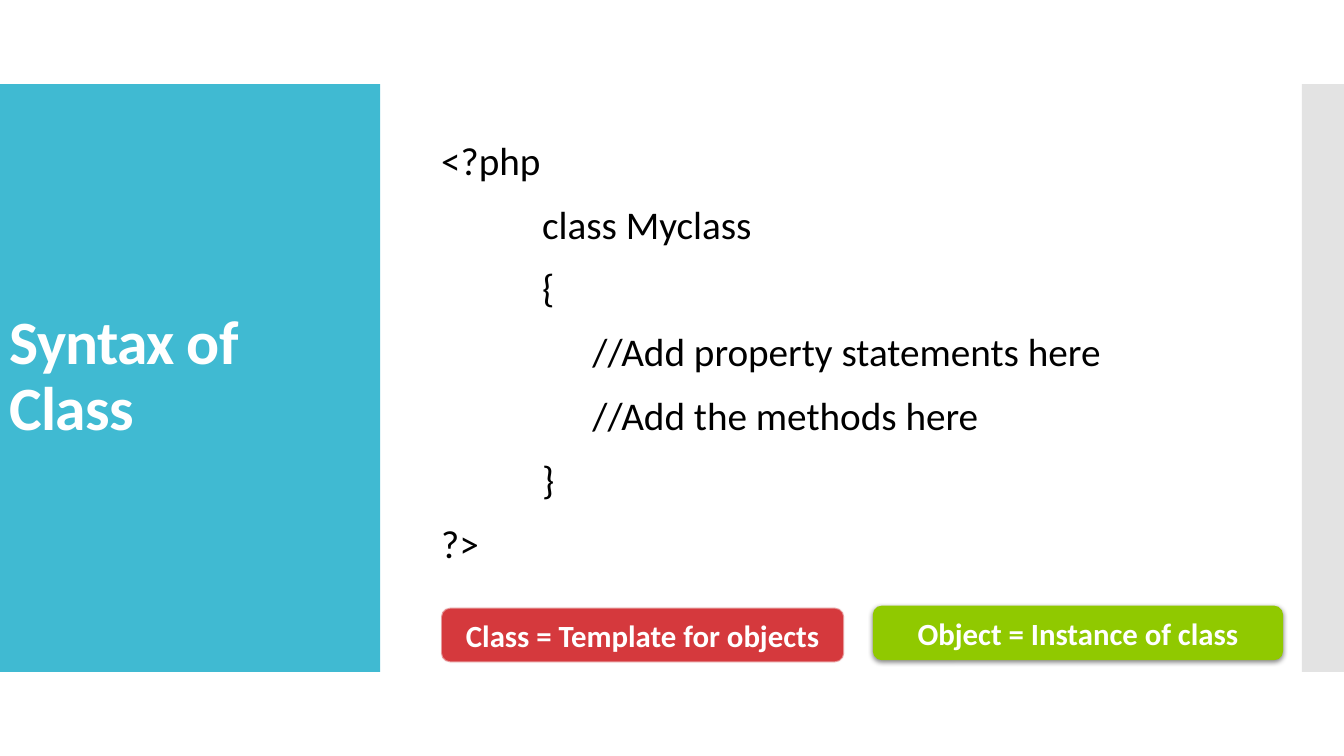
"""Build the slide that shows the syntax of a PHP class."""
import dataclasses

import pptx
import pptx.dml.color
import pptx.enum.shapes
import pptx.enum.text
import pptx.oxml
import pptx.oxml.ns
import pptx.util

ALIGN = pptx.enum.text.PP_ALIGN
ANCHOR = pptx.enum.text.MSO_ANCHOR
SHAPE = pptx.enum.shapes.MSO_SHAPE


@dataclasses.dataclass(frozen=True)
class Theme:
    font: str = "Calibri"
    panel: str = "40BAD2"
    strip: str = "C8C8C8"
    class_red: str = "D5393D"
    object_green: str = "90C900"
    outline: str = "F9F9F9"
    shadow: str = "000000"
    code: str = "000000"
    light: str = "FFFFFF"
    title_size: float = 44
    code_size: float = 28
    badge_size: float = 22


class SlideBuilder:
    COLUMNS, ROWS = 32, 18

    def __init__(self, deck, theme):
        self.theme = theme
        self.slide = deck.slides.add_slide(deck.slide_layouts[6])
        self.column = deck.slide_width / self.COLUMNS
        self.row = deck.slide_height / self.ROWS

    def place(self, left, top, width, height):
        return (round(left * self.column), round(top * self.row),
                round(width * self.column), round(height * self.row))

    def set_alpha(self, fill, percent):
        color = fill._xPr.find(".//" + pptx.oxml.ns.qn("a:srgbClr"))
        alpha = color.makeelement(pptx.oxml.ns.qn("a:alpha"), {"val": str(percent * 1000)})
        color.append(alpha)

    def block(self, grid, color, preset=SHAPE.RECTANGLE, opacity=100):
        block = self.slide.shapes.add_shape(preset, *self.place(*grid))
        block.shadow.inherit = False
        block.fill.solid()
        block.fill.fore_color.rgb = pptx.dml.color.RGBColor.from_string(color)
        block.line.fill.background()
        if opacity < 100:
            self.set_alpha(block.fill, opacity)
        return block

    def style(self, paragraph, size, color, align, bold=False):
        paragraph.alignment = align
        for run in paragraph.runs:
            run.font.name = self.theme.font
            run.font.size = pptx.util.Pt(size)
            run.font.bold = bold
            run.font.color.rgb = pptx.dml.color.RGBColor.from_string(color)

    def text_frame(self, grid, anchor):
        frame = self.slide.shapes.add_textbox(*self.place(*grid)).text_frame
        frame.word_wrap = True
        frame.vertical_anchor = anchor
        return frame

    def title(self, grid, words):
        frame = self.text_frame(grid, ANCHOR.MIDDLE)
        frame.text = words
        heading = frame.paragraphs[0]
        heading.line_spacing = 0.9
        self.style(heading, self.theme.title_size, self.theme.light, ALIGN.LEFT, bold=True)
        heading.runs[0].font._element.set("spc", "-60")

    def code(self, grid, lines):
        frame = self.text_frame(grid, ANCHOR.TOP)
        frame.text = "\n".join(statement for _, statement in lines)
        for paragraph, (indent, _) in zip(frame.paragraphs, lines):
            self.style(paragraph, self.theme.code_size, self.theme.code, ALIGN.JUSTIFY)
            paragraph.space_after = pptx.util.Pt(12)
            properties = paragraph._p.get_or_add_pPr()
            properties.set("marL", str(pptx.util.Inches(indent)))
            properties.set("indent", "0")

    def badge(self, grid, words, color):
        badge = self.block(grid, color, SHAPE.ROUNDED_RECTANGLE)
        frame = badge.text_frame
        frame.word_wrap = True
        frame.vertical_anchor = ANCHOR.MIDDLE
        frame.text = words
        self.style(frame.paragraphs[0], self.theme.badge_size, self.theme.light,
                   ALIGN.CENTER, bold=True)
        return badge

    def outline(self, badge):
        badge.line.width = pptx.util.Pt(1.35)
        badge.line.color.rgb = pptx.dml.color.RGBColor.from_string(self.theme.outline)
        self.set_alpha(badge.line.fill, 50)

    def drop_shadow(self, badge):
        effects = badge._element.spPr.find(pptx.oxml.ns.qn("a:effectLst"))
        effects.append(pptx.oxml.parse_xml(
            f'<a:outerShdw {pptx.oxml.ns.nsdecls("a")} blurRad="{pptx.util.Pt(3.5)}" '
            f'dist="{pptx.util.Pt(1.1)}" dir="5400000" rotWithShape="0">'
            f'<a:srgbClr val="{self.theme.shadow}"><a:alpha val="45000"/></a:srgbClr>'
            '</a:outerShdw>'))


def main():
    deck = pptx.Presentation()
    deck.slide_width = pptx.util.Inches(13.33)
    deck.slide_height = pptx.util.Inches(7.5)
    theme = Theme()
    builder = SlideBuilder(deck, theme)

    builder.block((0, 2, 9.05, 14), theme.panel)
    builder.block((31, 2, 1, 14), theme.strip, opacity=50)
    builder.title((0, 2.95, 9.05, 12.07), "Syntax of Class")
    builder.code((10.27, 3.12, 21.07, 10.58), [
        (0, "<?php"),
        (1, "class Myclass"),
        (1, "{"),
        (1.5, "//Add property statements here"),
        (1.5, "//Add the methods here"),
        (1, "}"),
        (0, "?>"),
    ])
    class_badge = builder.badge((10.5, 14.47, 9.6, 1.3), "Class = Template for objects",
                                theme.class_red)
    builder.outline(class_badge)
    object_badge = builder.badge((20.78, 14.42, 9.77, 1.3), "Object = Instance of class",
                                 theme.object_green)
    builder.drop_shadow(object_badge)
    deck.save("out.pptx")


if __name__ == "__main__":
    main()
